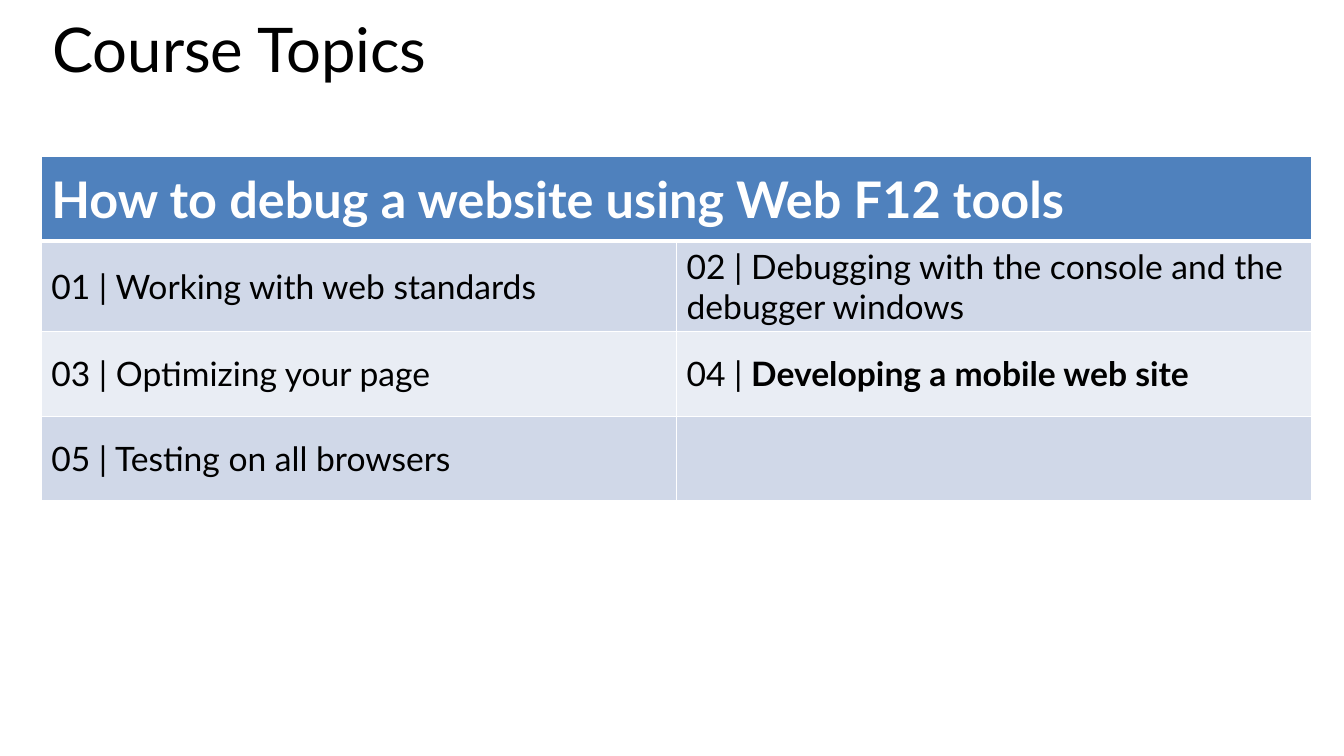
from lxml import etree
from pptx import Presentation
from pptx.dml.color import RGBColor
from pptx.enum import text
from pptx.oxml import ns
from pptx.util import Inches, Pt

# Content: each topic is a list of (words, bold) runs
TITLE = [("Course Topics", False)]
HEADING = [("How to debug a website using Web F12 tools", True)]
TOPICS = [
    [("01 | Working with web standards", False)],
    [("02 | Debugging with the console and the debugger windows", False)],
    [("03 | Optimizing your page", False)],
    [("04 | ", False), ("Developing a mobile web site", True)],
    [("05 | Testing on all browsers", False)],
    [],
]
THEME = {
    "font": "Lato", "ink": "000000", "white": "FFFFFF", "header": "4F81BD",
    "bands": ("D0D8E8", "E9EDF4"),
    "title_size": 44, "heading_size": 36, "topic_size": 24,
    "rule": 1, "header_rule": 3,
}
COLUMNS = 2
COLUMN_WIDTH, ROW_HEIGHT = 6.3, 0.84
topic_rows = len(TOPICS) // COLUMNS


def write(paragraph, runs, size, color):
    for words, bold in runs:
        run = paragraph.add_run()
        run.text = words
        run.font.name = THEME["font"]
        run.font.size = Pt(size)
        run.font.bold = bold
        run.font.color.rgb = RGBColor.from_string(color)


def style_cell(cell, fill, top, bottom):
    """Draw the white rules, then fill the cell."""
    properties = cell._tc.get_or_add_tcPr()
    widths = {"L": THEME["rule"], "R": THEME["rule"], "T": top, "B": bottom}
    for side, width in widths.items():
        rule = etree.SubElement(properties, ns.qn(f"a:ln{side}"), w=str(Pt(width)))
        solid = etree.SubElement(rule, ns.qn("a:solidFill"))
        etree.SubElement(solid, ns.qn("a:srgbClr"), val=THEME["white"])
    cell.fill.solid()
    cell.fill.fore_color.rgb = RGBColor.from_string(fill)
    cell.vertical_anchor = text.MSO_ANCHOR.MIDDLE


deck = Presentation()
deck.slide_width, deck.slide_height = Inches(13.33), Inches(7.5)
slide = deck.slides.add_slide(deck.slide_layouts[6])

# Title
title = slide.shapes.add_textbox(
    Inches(0.42), Inches(0.2), Inches(12.6), Inches(1.16)).text_frame
title.word_wrap = True
title.paragraphs[0].line_spacing = 0.8
write(title.paragraphs[0], TITLE, THEME["title_size"], THEME["ink"])

# Table grid
topics = slide.shapes.add_table(
    topic_rows + 1, COLUMNS, Inches(0.41), Inches(1.55),
    Inches(COLUMNS * COLUMN_WIDTH), Inches((topic_rows + 1) * ROW_HEIGHT)).table
for column in topics.columns:
    column.width = Inches(COLUMN_WIDTH)
for row in topics.rows:
    row.height = Inches(ROW_HEIGHT)

# Heading across all columns
for column in range(COLUMNS):
    style_cell(topics.cell(0, column), THEME["header"],
               THEME["rule"], THEME["header_rule"])
heading = topics.cell(0, 0)
heading.merge(topics.cell(0, COLUMNS - 1))
write(heading.text_frame.paragraphs[0], HEADING,
      THEME["heading_size"], THEME["white"])

# Topics, left to right in banded rows
for index, topic in enumerate(TOPICS):
    row, column = divmod(index, COLUMNS)
    cell = topics.cell(row + 1, column)
    style_cell(cell, THEME["bands"][row % 2],
               THEME["rule"] if row else THEME["header_rule"], THEME["rule"])
    write(cell.text_frame.paragraphs[0], topic, THEME["topic_size"], THEME["ink"])

deck.save("out.pptx")
